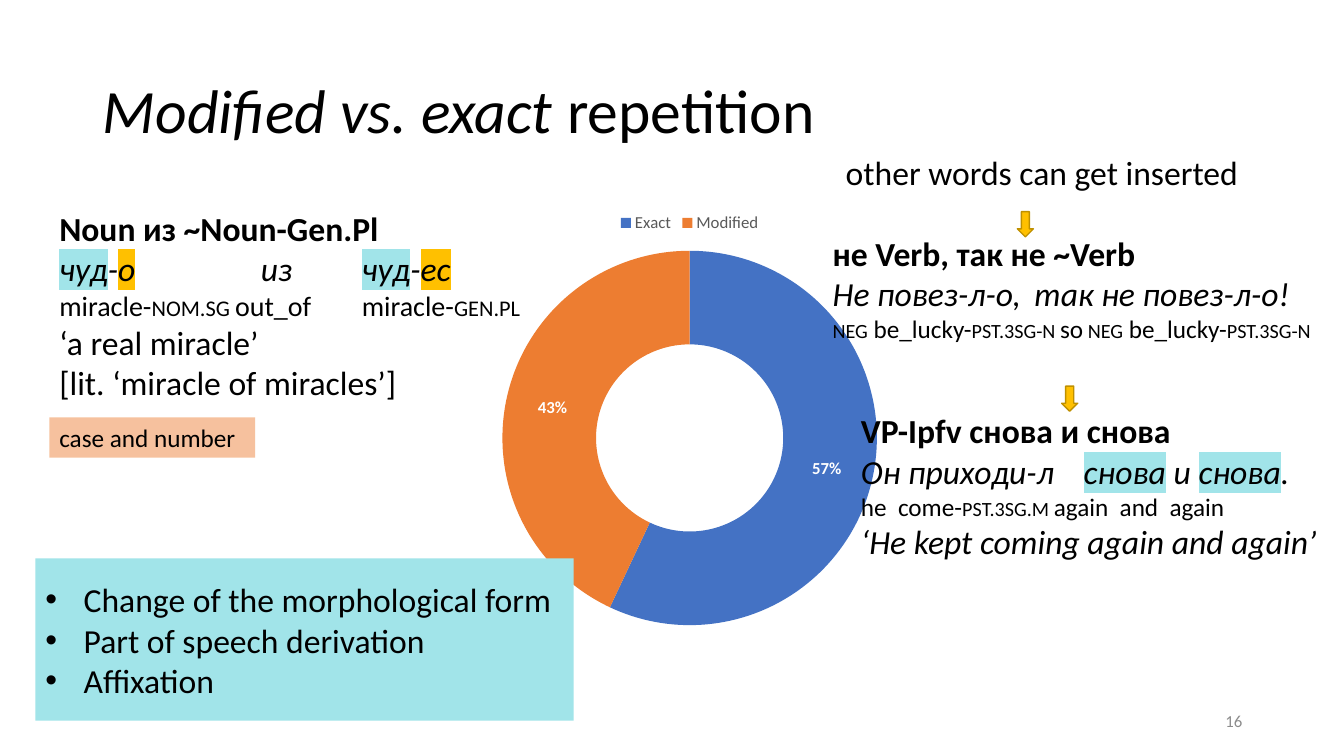
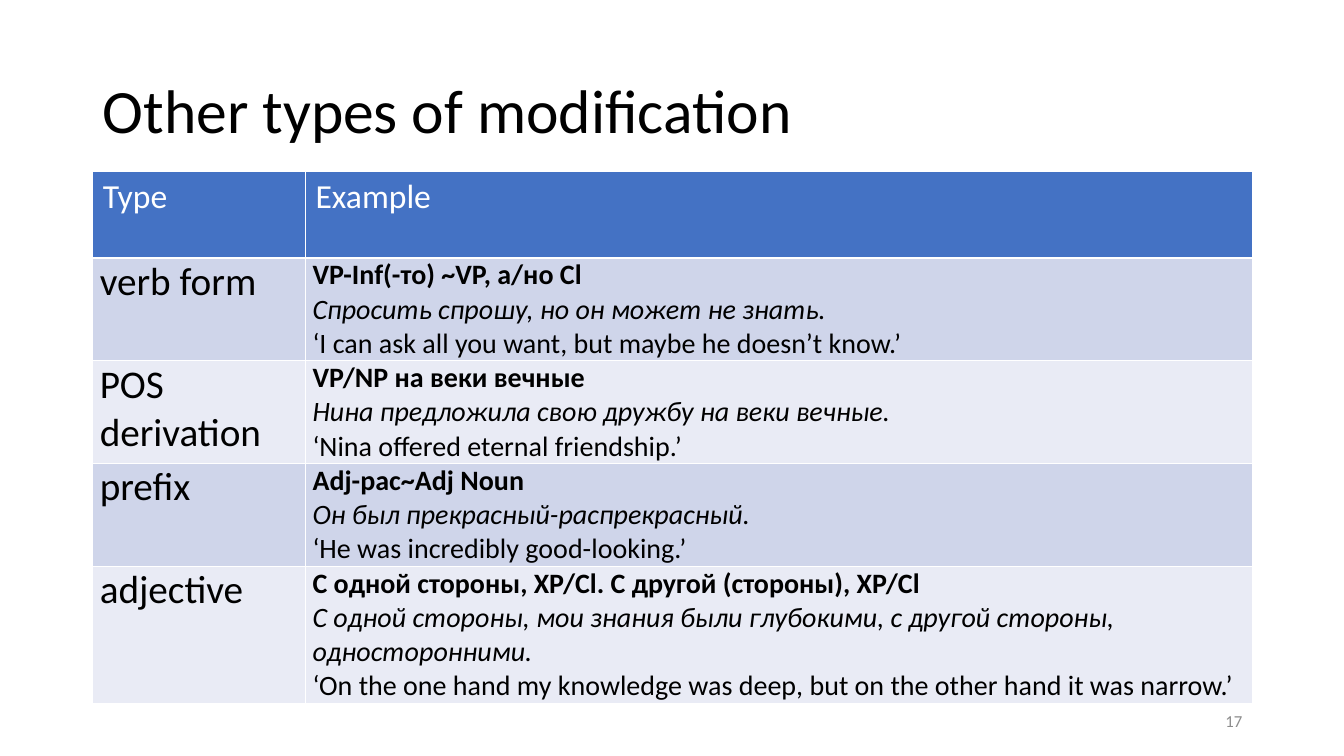
from lxml.etree import SubElement
from pptx import Presentation
from pptx.chart.data import CategoryChartData
from pptx.dml.color import RGBColor
from pptx.enum.chart import XL_CHART_TYPE, XL_LEGEND_POSITION
from pptx.enum.shapes import MSO_SHAPE
from pptx.enum.text import MSO_ANCHOR, MSO_AUTO_SIZE, PP_ALIGN
from pptx.oxml.ns import qn
from pptx.util import Inches, Pt

FONT = "Calibri"
BLACK = RGBColor(0x00, 0x00, 0x00)
WHITE = RGBColor(0xFF, 0xFF, 0xFF)
GRAY = RGBColor(0x8C, 0x8C, 0x8C)
LEGEND_GRAY = RGBColor(0x59, 0x59, 0x59)
BLUE = RGBColor(0x44, 0x72, 0xC4)
ORANGE = RGBColor(0xED, 0x7D, 0x31)
AQUA = RGBColor(0xA1, 0xE4, 0xE9)
GOLD = RGBColor(0xFF, 0xC0, 0x00)
DARK_GOLD = RGBColor(0xBF, 0x90, 0x00)
ROW_FILLS = (RGBColor(0xCF, 0xD5, 0xEA), RGBColor(0xE9, 0xEB, 0xF5))

TITLE_ONLY, TITLE_AND_BODY = 5, 1


def add_run(paragraph, text, size=24, color=BLACK, bold=False, italic=False,
            small_caps=False, highlight=None):
    """Append one formatted run to the paragraph."""
    run = paragraph.add_run()
    run.text = text
    font = run.font
    font.size, font.bold, font.italic = Pt(size), bold, italic
    font.color.rgb = color
    properties = font._element
    if small_caps:
        properties.set("cap", "small")
    if highlight is not None:
        mark = SubElement(properties, qn("a:highlight"))
        SubElement(mark, qn("a:srgbClr")).set("val", str(highlight))
    font.name = FONT


def fill_text(frame, paragraphs, align=PP_ALIGN.LEFT, tabs=(), **style):
    """Write paragraphs; each is a list of (text, format) runs over a shared style."""
    frame.word_wrap = True
    for index, runs in enumerate(paragraphs):
        paragraph = frame.add_paragraph() if index else frame.paragraphs[0]
        paragraph.alignment = align
        paragraph.space_before = Pt(0)
        for text, extra in runs:
            add_run(paragraph, text, **{**style, **extra})
        if tabs:
            stops = SubElement(paragraph._p.get_or_add_pPr(), qn("a:tabLst"))
            for position in tabs:
                stop = SubElement(stops, qn("a:tab"))
                stop.set("pos", str(Inches(position)))
                stop.set("algn", "l")


def part(text, **extra):
    return text, extra


class Deck:
    """Shared style and the slide being built."""

    def __init__(self):
        self.presentation = Presentation()
        self.presentation.slide_width = Inches(13.33)
        self.presentation.slide_height = Inches(7.5)
        self.slide = None

    def new_slide(self, layout, number, title):
        layouts = self.presentation.slide_layouts
        self.slide = self.presentation.slides.add_slide(layouts[layout])
        shape = self.slide.shapes.title
        self.place(shape, 0.92, 0.4, 11.5, 1.45)
        frame = shape.text_frame
        frame.auto_size = MSO_AUTO_SIZE.NONE
        frame.vertical_anchor = MSO_ANCHOR.MIDDLE
        fill_text(frame, [title], size=44)
        frame.paragraphs[0].line_spacing = 0.9
        self.text(9.42, 6.95, 3, 0.4, [[part(str(number))]], size=12, color=GRAY,
                  align=PP_ALIGN.RIGHT, anchor=MSO_ANCHOR.MIDDLE)

    @staticmethod
    def place(shape, left, top, width, height):
        shape.left, shape.top = Inches(left), Inches(top)
        shape.width, shape.height = Inches(width), Inches(height)

    def text(self, left, top, width, height, paragraphs, anchor=MSO_ANCHOR.TOP, **style):
        shape = self.slide.shapes.add_textbox(
            Inches(left), Inches(top), Inches(width), Inches(height))
        shape.text_frame.vertical_anchor = anchor
        fill_text(shape.text_frame, paragraphs, **style)
        return shape

    def tag(self, left, top, width, height, text, opacity):
        shape = self.text(left, top, width, height, [[part(text)]], size=18)
        shape.fill.solid()
        shape.fill.fore_color.rgb = ORANGE
        color = next(shape._element.spPr.iter(qn("a:srgbClr")))
        SubElement(color, qn("a:alpha")).set("val", str(opacity * 1000))

    def bullets(self, left, top, width, height, items):
        shape = self.slide.placeholders[1]
        self.place(shape, left, top, width, height)
        shape.fill.solid()
        shape.fill.fore_color.rgb = AQUA
        frame = shape.text_frame
        frame.auto_size = MSO_AUTO_SIZE.NONE
        frame.vertical_anchor = MSO_ANCHOR.MIDDLE
        fill_text(frame, [[part(item)] for item in items])
        for paragraph in frame.paragraphs:
            properties = paragraph._p.get_or_add_pPr()
            properties.set("marL", str(Inches(0.38)))
            properties.set("indent", str(-Inches(0.38)))
            SubElement(properties, qn("a:buChar")).set("char", "•")
        # Bring the list in front of the chart
        self.slide.shapes._spTree.append(shape._element)

    def arrow(self, left, top):
        shape = self.slide.shapes.add_shape(
            MSO_SHAPE.DOWN_ARROW, Inches(left), Inches(top), Inches(0.16), Inches(0.25))
        shape.shadow.inherit = False
        shape.fill.solid()
        shape.fill.fore_color.rgb = GOLD
        shape.line.color.rgb = DARK_GOLD
        shape.line.width = Pt(1)

    def doughnut(self, left, top, width, height, shares):
        data = CategoryChartData()
        data.categories = [name for name, _, _ in shares]
        data.add_series("Series 1", [value for _, value, _ in shares])
        chart = self.slide.shapes.add_chart(
            XL_CHART_TYPE.DOUGHNUT, Inches(left), Inches(top),
            Inches(width), Inches(height), data).chart
        chart.has_title = False
        chart.font.name, chart.font.size = FONT, Pt(10)
        chart.has_legend = True
        legend = chart.legend
        legend.position = XL_LEGEND_POSITION.TOP
        legend.include_in_layout = False
        legend.font.name, legend.font.size = FONT, Pt(12)
        legend.font.color.rgb = LEGEND_GRAY
        plot = chart.plots[0]
        plot.vary_by_categories = True
        for index, (_, _, color) in enumerate(shares):
            fill = plot.series[0].points[index].format.fill
            fill.solid()
            fill.fore_color.rgb = color
        plot.has_data_labels = True
        labels = plot.data_labels
        labels.show_percentage, labels.show_value = True, False
        labels.number_format, labels.number_format_is_linked = "0%", False
        labels.font.name, labels.font.size = FONT, Pt(12)
        labels.font.bold = True
        labels.font.color.rgb = WHITE

    def table(self, left, top, widths, heights, header, rows):
        table = self.slide.shapes.add_table(
            len(heights), len(widths), Inches(left), Inches(top),
            Inches(sum(widths)), Inches(sum(heights))).table
        for column, width in zip(table.columns, widths):
            column.width = Inches(width)
        for row, height in zip(table.rows, heights):
            row.height = Inches(height)
        for index, text in enumerate(header):
            self.cell(table.cell(0, index), BLUE, [[part(text)]], color=WHITE)
        for index, (kind, pattern, example, translation) in enumerate(rows):
            fill = ROW_FILLS[index % 2]
            lines = [[part(pattern, bold=True)], [part(example, italic=True)],
                     [part(translation)]]
            cells = table.rows[index + 1].cells
            for cell in cells:
                cell.margin_left = cell.margin_right = Inches(0.07)
                cell.margin_top = cell.margin_bottom = 0
            self.cell(cells[0], fill, [[part(kind)]], size=28)
            self.cell(cells[1], fill, lines, size=20)

    @staticmethod
    def cell(cell, fill, paragraphs, **style):
        cell.fill.solid()
        cell.fill.fore_color.rgb = fill
        fill_text(cell.text_frame, paragraphs, **style)


def build_repetition(deck):
    deck.new_slide(TITLE_AND_BODY, 16,
                   [part("Modified vs. exact ", italic=True), part("repetition")])
    deck.doughnut(1.77, 2, 10.14, 4.34,
                  [("Exact", 57, BLUE), ("Modified", 43, ORANGE)])

    # Exact repetition, right
    deck.text(8.16, 2.26, 5.17, 1.62, [
        [part("не Verb, так не ~Verb", bold=True)],
        [part("Не повез-л-o, \tтак не повез-л-o!", italic=True)],
        [part(text, size=18, small_caps=small) for text, small in (
            ("neg", True), (" be_lucky-", False), ("pst.3sg-n ", True), ("so", False),
            (" neg", True), (" be_lucky-", False), ("pst.3sg-n", True))],
    ], tabs=[2])
    deck.text(8.44, 4.02, 4.85, 1.62, [
        [part("VP-Ipfv снова и снова", bold=True)],
        [part("Он приходи-л\t", italic=True),
         part("снова", italic=True, highlight=AQUA), part(" и ", italic=True),
         part("снова", italic=True, highlight=AQUA), part(".", italic=True)],
        [part("he  come-", size=18), part("pst.3sg.m ", size=18, small_caps=True),
         part("again  and  again", size=18)],
        [part("‘He kept coming again and again’", italic=True)],
    ], tabs=[2.21])
    deck.text(8.29, 1.46, 4.2, 0.5, [[part("other words can get inserted")]])
    deck.arrow(10.09, 2.1)
    deck.arrow(10.53, 3.83)

    # Modified repetition, left
    deck.text(0.49, 2.01, 7.06, 2.05, [
        [part("Noun из ~Noun-Gen.Pl", bold=True)],
        [part(text, italic=True, highlight=color) for text, color in (
            ("чуд", AQUA), ("-", None), ("o", GOLD), ("\tиз\t", None),
            ("чуд", AQUA), ("-", None), ("eс", GOLD))],
        [part(text, size=20, small_caps=small) for text, small in (
            ("miracle-", False), ("nom.sg ", True),
            ("out_of\tmiracle-", False), ("gen.pl", True))],
        [part("‘a real miracle’")],
        [part("[lit. ‘miracle of miracles’]")],
    ], tabs=[2, 3])
    deck.tag(0.49, 4.14, 2.04, 0.4, "case and number", opacity=47)
    deck.bullets(0.35, 5.54, 5.34, 1.61, [
        "Change of the morphological form", "Part of speech derivation", "Affixation"])


def build_modification_types(deck):
    deck.new_slide(TITLE_ONLY, 17, [part("Other types of modification")])
    deck.table(0.92, 1.7, [2.11, 9.39], [0.86, 1.02, 1.02, 1.02, 1.36],
               ["Type", "Example"], [
        ("verb form", "VP-Inf(-то) ~VP, a/но Cl",
         "Спросить спрошу, но он может не знать.",
         "‘I can ask all you want, but maybe he doesn’t know.’"),
        ("POS derivation", "VP/NP на веки вечные",
         "Нина предложила свою дружбу на веки вечные.",
         "‘Nina offered eternal friendship.’"),
        ("prefix", "Adj-рас~Adj Noun",
         "Он был прекрасный-распрекрасный.",
         "‘He was incredibly good-looking.’"),
        ("adjective", "С одной стороны, XP/Cl. С другой (стороны), XP/Cl",
         "С одной стороны, мои знания были глубокими, с другой стороны, односторонними.",
         "‘On the one hand my knowledge was deep, but on the other hand it was narrow.’"),
    ])


def main():
    deck = Deck()
    build_repetition(deck)
    build_modification_types(deck)
    deck.presentation.save("out.pptx")


if __name__ == "__main__":
    main()
